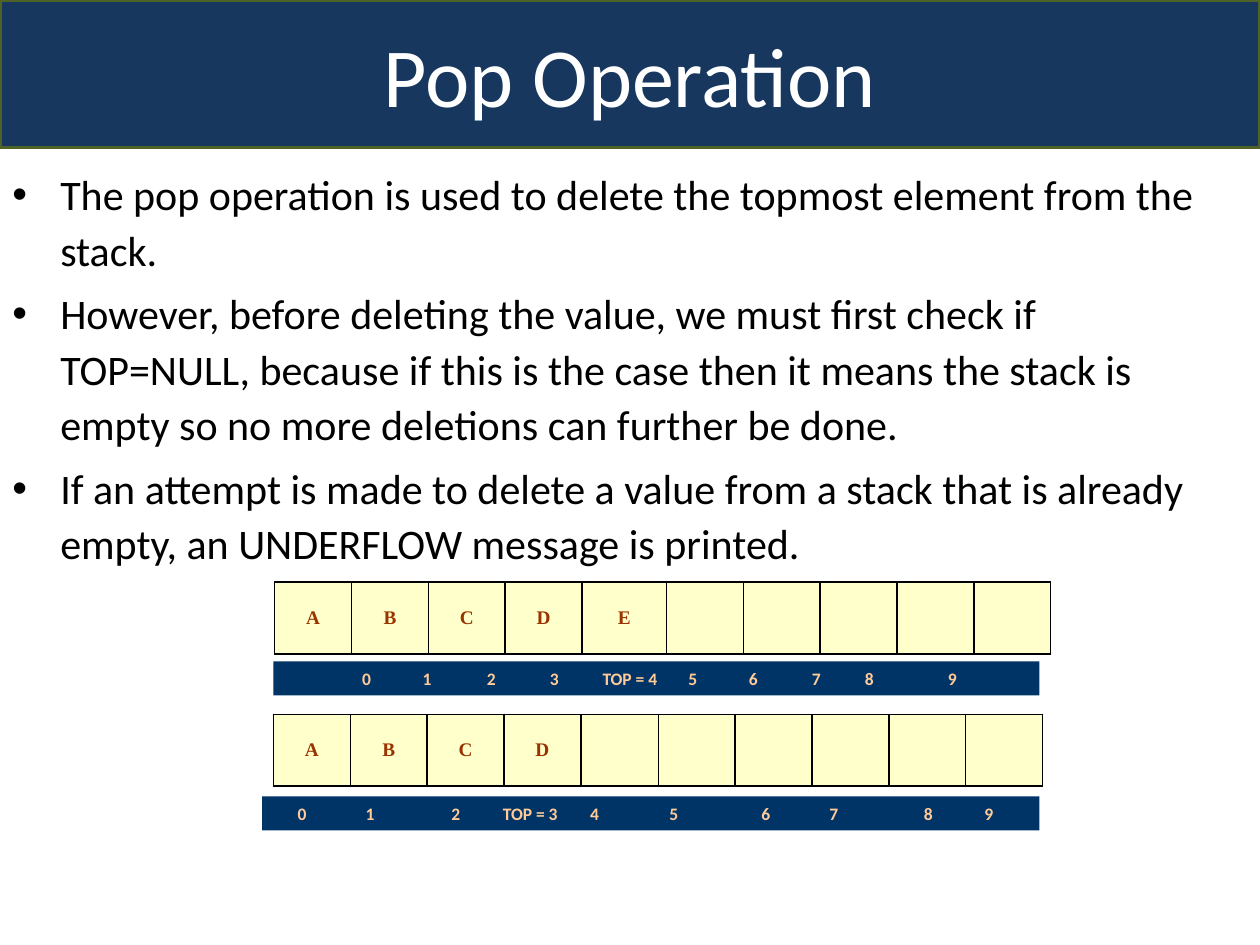
from lxml import etree
from pptx import Presentation
from pptx.dml.color import RGBColor
from pptx.enum import shapes, text
from pptx.oxml import ns
from pptx.util import Inches, Pt


def paint(fill, hue):
    fill.solid()
    fill.fore_color.rgb = RGBColor.from_string(hue)


def style(para, size, face, hue, bold=False):
    for run in para.runs:
        font = run.font
        font.size, font.name, font.bold = Pt(size), face, bold
        font.color.rgb = RGBColor.from_string(hue)


deck = Presentation()
deck.slide_width, deck.slide_height = Inches(10), Inches(7.5)
slide = deck.slides.add_slide(deck.slide_layouts[6])

# Title band
band = slide.shapes.add_shape(shapes.MSO_SHAPE.ROUNDED_RECTANGLE, 0, 0, Inches(10), Inches(1.17))
band.adjustments[0] = 0
band.shadow.inherit = False
paint(band.fill, "17375E")
paint(band.line.fill, "4F6228")
band.line.width = Pt(2)
frame = band.text_frame
frame.text = "Pop Operation"
frame.vertical_anchor = text.MSO_ANCHOR.MIDDLE
frame.paragraphs[0].alignment = text.PP_ALIGN.CENTER
style(frame.paragraphs[0], 48, "Calibri", "FFFFFF")

# Bullet points
points = [
    "The pop operation is used to delete the topmost element from the stack.",
    "However, before deleting the value, we must first check if TOP=NULL, because if this is "
    "the case then it means the stack is empty so no more deletions can further be done.",
    "If an attempt is made to delete a value from a stack that is already empty, "
    "an UNDERFLOW message is printed.",
]
frame = slide.shapes.add_textbox(0, Inches(1.25), Inches(9.75), Inches(3)).text_frame
frame.word_wrap = True
for i, point in enumerate(points):
    para = frame.add_paragraph() if i else frame.paragraphs[0]
    para.text = point
    para.line_spacing = 1.1
    para.space_before = Pt(4.8 if i else 0)
    props = para._p.get_or_add_pPr()
    props.set("marL", str(Inches(0.38)))
    props.set("indent", str(Inches(-0.38)))
    etree.SubElement(props, ns.qn("a:buFont"), typeface="Arial")
    etree.SubElement(props, ns.qn("a:buChar"), char="•")
    style(para, 24, "Calibri", "000000")

# Stack before and after the pop: left, top, items, width of the fifth cell
stacks = [(2.18, 4.62, "ABCDE", 0.67), (2.17, 5.67, "ABCD", 0.615)]
for left, top, items, fifth in stacks:
    grid = slide.shapes.add_table(1, 10, Inches(left), Inches(top), Inches(6.15), Inches(0.57)).table
    grid.first_row = grid.horz_banding = False
    for i, letter in enumerate(items.ljust(10)):
        grid.columns[i].width = Inches(fifth if i == 4 else 0.61)
        cell = grid.cell(0, i)
        cell.text = letter.strip()
        cell.vertical_anchor = text.MSO_ANCHOR.MIDDLE
        cell.text_frame.paragraphs[0].alignment = text.PP_ALIGN.CENTER
        style(cell.text_frame.paragraphs[0], 11, "Times New Roman", "993300", True)
        paint(cell.fill, "FFFFCC")
        props = cell._tc.get_or_add_tcPr()
        for j, side in enumerate("LRTB"):
            edge = etree.Element(ns.qn("a:ln" + side), w=str(Pt(1)))
            ink = etree.SubElement(edge, ns.qn("a:solidFill"))
            etree.SubElement(ink, ns.qn("a:srgbClr"), val="000000")
            props.insert(j, edge)

# Index bars: left, top, width, position of TOP, label centres on the slide
bars = [
    (2.17, 5.25, 6.08, 4, [2.91, 3.39, 3.9, 4.4, 5, 5.5, 5.98, 6.48, 6.9, 7.56]),
    (2.08, 6.32, 6.17, 3, [2.4, 2.94, 3.62, 4.21, 4.72, 5.35, 6.08, 6.62, 7.37, 7.85]),
]
for left, top, width, peak, spots in bars:
    bar = slide.shapes.add_shape(shapes.MSO_SHAPE.RECTANGLE, Inches(left), Inches(top),
                                 Inches(width), Inches(0.27))
    bar.shadow.inherit = False
    paint(bar.fill, "003366")
    bar.line.fill.background()
    frame = bar.text_frame
    frame.vertical_anchor = text.MSO_ANCHOR.MIDDLE
    para = frame.paragraphs[0]
    para.text = "".join(f"\tTOP = {i}" if i == peak else f"\t{i}" for i in range(10))
    para.alignment = text.PP_ALIGN.LEFT
    tabs = etree.SubElement(para._p.get_or_add_pPr(), ns.qn("a:tabLst"))
    for spot in spots:
        etree.SubElement(tabs, ns.qn("a:tab"), pos=str(Inches(spot - left - 0.1)), algn="ctr")
    style(para, 10, "Calibri", "FFCC99", True)

deck.save("out.pptx")
